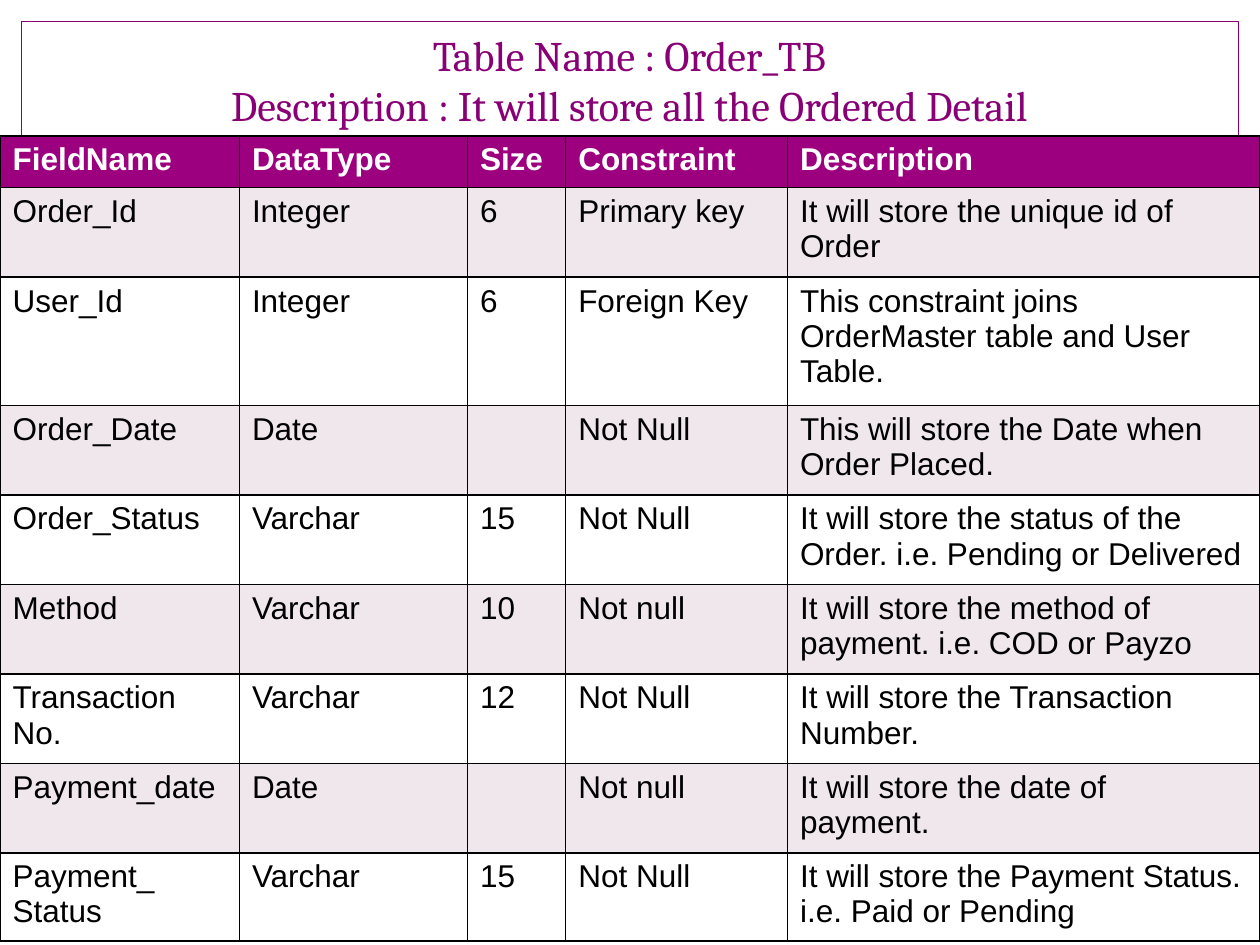
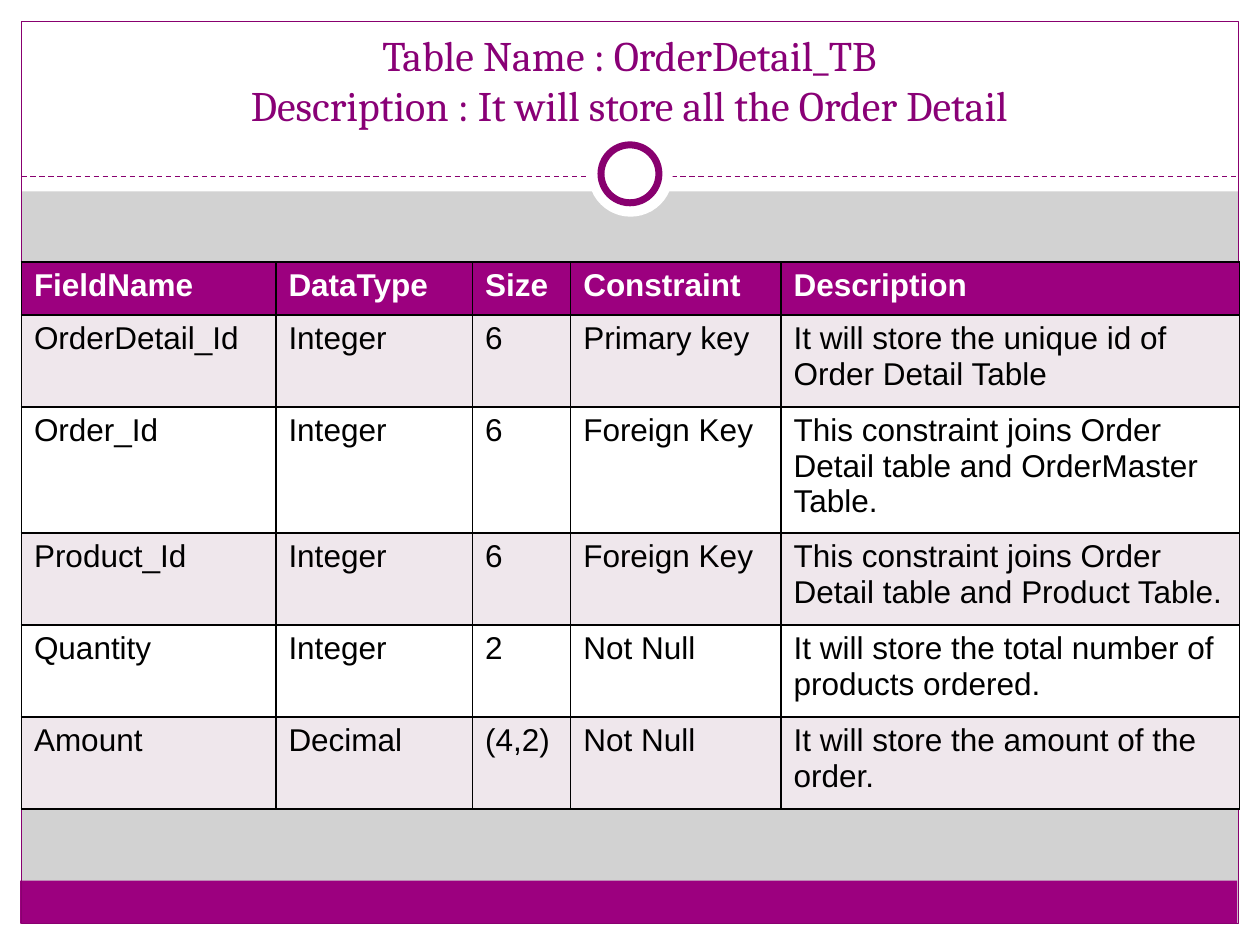
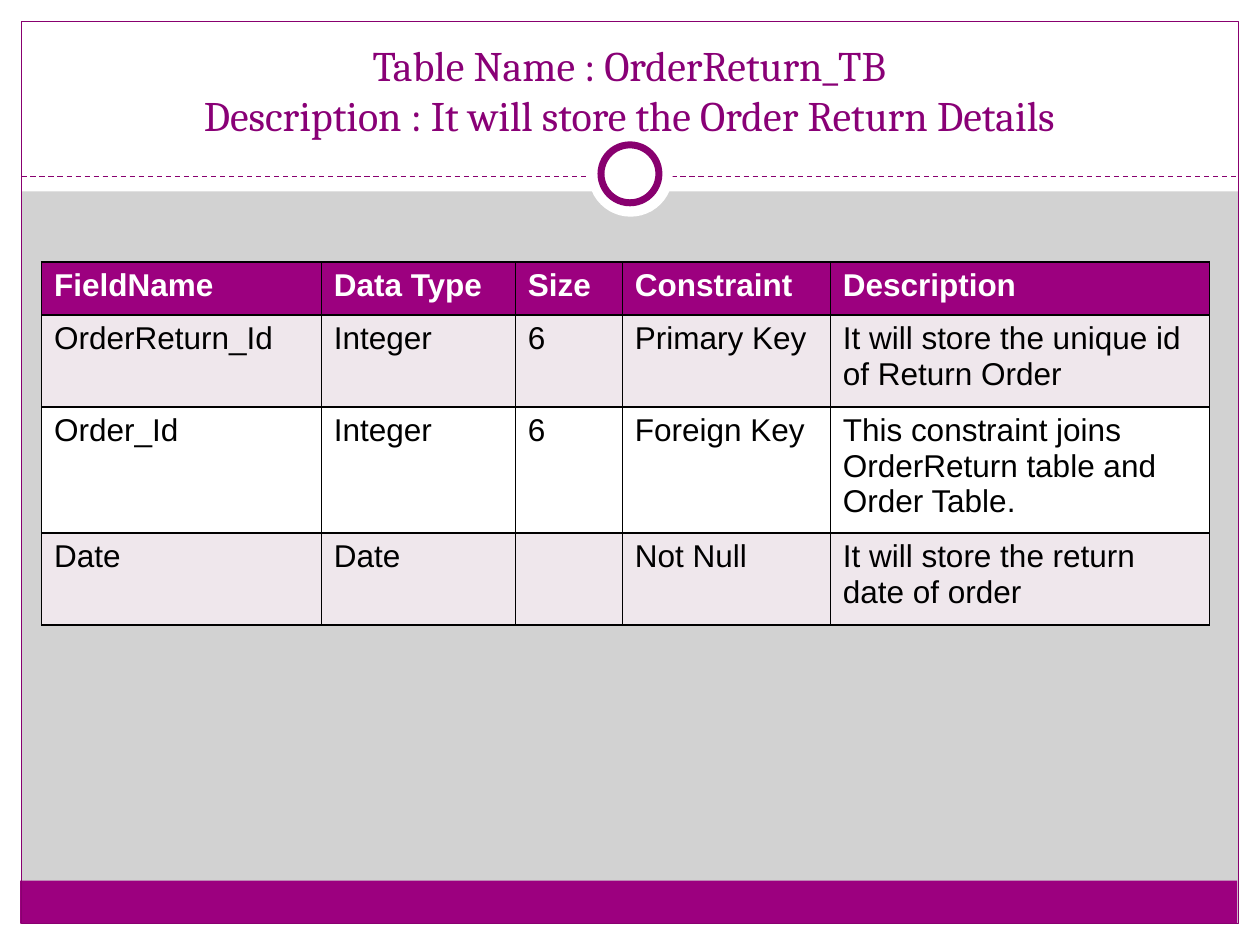
from lxml import etree
from pptx import Presentation
from pptx.dml.color import RGBColor
from pptx.enum.dml import MSO_LINE_DASH_STYLE as Dash
from pptx.enum.shapes import MSO_CONNECTOR, MSO_SHAPE as Shape
from pptx.enum.text import MSO_ANCHOR, PP_ALIGN
from pptx.oxml import parse_xml
from pptx.oxml.ns import nsdecls, qn
from pptx.util import Inches, Pt

BACKDROP = RGBColor(0xD2, 0xD2, 0xD2)
WHITE = RGBColor(0xFF, 0xFF, 0xFF)
BLACK = RGBColor(0, 0, 0)
PURPLE = RGBColor(0x9C, 0x00, 0x7F)
OUTLINE = RGBColor(0x88, 0x00, 0x6F)
TITLE_COLOR = RGBColor(0x89, 0x00, 0x76)
BAND = RGBColor(0xEF, 0xE7, 0xEC)

# A newline in a cell starts a new paragraph.
SCHEMAS = [
    {
        "title": ["Table Name : Order_TB",
                  "Description : It will store all the Ordered Detail"],
        "title_top": 0.25,
        "corner": (0, 1.08),
        "columns": [1.9, 1.81, 0.78, 1.76, 3.75],
        "heights": [0.41, 0.71, 1.02] + [0.71] * 5 + [0.7],
        "rows": [
            ("FieldName", "DataType", "Size", "Constraint", "Description"),
            ("Order_Id", "Integer", "6", "Primary key",
             "It will store the unique id of Order"),
            ("User_Id", "Integer", "6", "Foreign Key",
             "This constraint joins OrderMaster table and User Table."),
            ("Order_Date", "Date", "", "Not Null",
             "This will store the Date when Order Placed."),
            ("Order_Status", "Varchar", "15", "Not Null",
             "It will store the status of the Order. i.e. Pending or Delivered"),
            ("Method", "Varchar", "10", "Not null",
             "It will store the method of payment. i.e. COD or Payzo"),
            ("Transaction No.", "Varchar", "12", "Not Null",
             "It will store the Transaction Number."),
            ("Payment_date", "Date", "", "Not null",
             "It will store the date of\npayment."),
            ("Payment_\nStatus", "Varchar", "15", "Not Null",
             "It will store the Payment Status.\ni.e. Paid or Pending"),
        ],
    },
    {
        "title": ["Table Name : OrderDetail_TB",
                  "Description : It will store all the Order Detail"],
        "title_top": 0.25,
        "corner": (0.17, 2.08),
        "columns": [2.02, 1.56, 0.78, 1.67, 3.64],
        "heights": [0.42] + [0.73] * 5,
        "rows": [
            ("FieldName", "DataType", "Size", "Constraint", "Description"),
            ("OrderDetail_Id", "Integer", "6", "Primary key",
             "It will store the unique id of Order Detail Table"),
            ("Order_Id", "Integer", "6", "Foreign Key",
             "This constraint joins Order Detail table and OrderMaster Table."),
            ("Product_Id", "Integer", "6", "Foreign Key",
             "This constraint joins Order Detail table and Product Table."),
            ("Quantity", "Integer", "2", "Not Null",
             "It will store the total number of products ordered."),
            ("Amount", "Decimal", "(4,2)", "Not Null",
             "It will store the amount of the order."),
        ],
    },
    {
        "title": ["Table Name : OrderReturn_TB",
                  "Description : It will store the Order Return Details"],
        "title_top": 0.33,
        "corner": (0.33, 2.08),
        "columns": [2.22, 1.54, 0.85, 1.65, 3.01],
        "heights": [0.42] + [0.73] * 3,
        "rows": [
            ("FieldName", "Data Type", "Size", "Constraint", "Description"),
            ("OrderReturn_Id", "Integer", "6", "Primary Key",
             "It will store the unique id of Return Order"),
            ("Order_Id", "Integer", "6", "Foreign Key",
             "This constraint joins OrderReturn table and Order Table."),
            ("Date", "Date", "", "Not Null",
             "It will store the return date of order"),
        ],
    },
]

WIDTH, HEIGHT, MARGIN = 10, 7.5, 0.17
HEADER_HEIGHT, DIVIDER_Y = 1.52, 1.4
# kind, (left, top, width, height), fill, line width
FRAME = [
    (Shape.RECTANGLE, (0, HEIGHT - MARGIN, WIDTH, MARGIN), WHITE, 0),
    (Shape.RECTANGLE, (0, 0, WIDTH, HEADER_HEIGHT), WHITE, 0),
    (Shape.RECTANGLE, (0, 0, MARGIN, HEIGHT), WHITE, 0),
    (Shape.RECTANGLE, (WIDTH - MARGIN, 0, MARGIN, HEIGHT), WHITE, 0),
    (Shape.RECTANGLE, (0.16, 6.99, 9.66, 0.34), PURPLE, 0),
    (Shape.RECTANGLE, (MARGIN, MARGIN, WIDTH - 2 * MARGIN, HEIGHT - 2 * MARGIN), None, 0.75),
]
RING = [
    (Shape.OVAL, (4.67, 1.05, 0.67, 0.67), WHITE, 0),
    (Shape.OVAL, (4.77, 1.15, 0.46, 0.46), WHITE, 4),
]


def inches(values):
    return [Inches(value) for value in values]


def add_parts(slide, parts):
    for kind, box, fill, line_width in parts:
        part = slide.shapes.add_shape(kind, *inches(box))
        part.shadow.inherit = False
        if fill is None:
            part.fill.background()
        else:
            part.fill.solid()
            part.fill.fore_color.rgb = fill
        if line_width:
            part.line.color.rgb = OUTLINE
            part.line.width = Pt(line_width)
        else:
            part.line.fill.background()


def add_divider(slide):
    divider = slide.shapes.add_connector(
        MSO_CONNECTOR.STRAIGHT,
        *inches((MARGIN, DIVIDER_Y, WIDTH - MARGIN, DIVIDER_Y)))
    divider.line.color.rgb = OUTLINE
    divider.line.width = Pt(0.75)
    divider.line.dash_style = Dash.DASH
    etree.SubElement(divider.element.spPr, qn("a:effectLst"))


def add_run(paragraph, text, font, size, color, bold=False):
    run = paragraph.add_run()
    run.text = text
    run.font.name = font
    run.font.size = Pt(size)
    run.font.color.rgb = color
    run.font.bold = bold


def add_title(slide, lines, top):
    frame = slide.shapes.add_textbox(*inches((0.33, top, 9.33, 0.83))).text_frame
    frame.word_wrap = True
    frame.vertical_anchor = MSO_ANCHOR.BOTTOM
    paragraph = frame.paragraphs[0]
    paragraph.alignment = PP_ALIGN.CENTER
    for index, line in enumerate(lines):
        if index:
            paragraph.add_line_break()
        add_run(paragraph, line, "Cambria", 24, TITLE_COLOR)


def add_borders(cell):
    properties = cell._tc.get_or_add_tcPr()
    for index, side in enumerate("LRTB"):
        properties.insert(index, parse_xml(
            f'<a:ln{side} {nsdecls("a")} w="{Pt(1)}"><a:solidFill>'
            f'<a:srgbClr val="{BLACK}"/></a:solidFill></a:ln{side}>'))


def fill_cell(cell, text, row_index):
    is_header = row_index == 0
    cell.fill.solid()
    cell.fill.fore_color.rgb = PURPLE if is_header else BAND if row_index % 2 else WHITE
    add_borders(cell)
    if not text:
        return
    frame = cell.text_frame
    for index, line in enumerate(text.split("\n")):
        paragraph = frame.add_paragraph() if index else frame.paragraphs[0]
        add_run(paragraph, line, "Arial", 18, WHITE if is_header else BLACK, is_header)


def add_fields(slide, schema):
    rows, columns, heights = schema["rows"], schema["columns"], schema["heights"]
    box = (*schema["corner"], sum(columns), sum(heights))
    table = slide.shapes.add_table(len(rows), len(columns), *inches(box)).table
    table.horz_banding = False
    for column, width in zip(table.columns, columns):
        column.width = Inches(width)
    for row_index, (row, height, texts) in enumerate(zip(table.rows, heights, rows)):
        row.height = Inches(height)
        for cell, text in zip(row.cells, texts):
            fill_cell(cell, text, row_index)


def main():
    deck = Presentation()
    deck.slide_width, deck.slide_height = inches((WIDTH, HEIGHT))
    for schema in SCHEMAS:
        slide = deck.slides.add_slide(deck.slide_layouts[6])
        slide.background.fill.solid()
        slide.background.fill.fore_color.rgb = BACKDROP
        add_parts(slide, FRAME)
        add_divider(slide)
        add_parts(slide, RING)
        add_title(slide, schema["title"], schema["title_top"])
        add_fields(slide, schema)
    deck.save("out.pptx")


if __name__ == "__main__":
    main()
